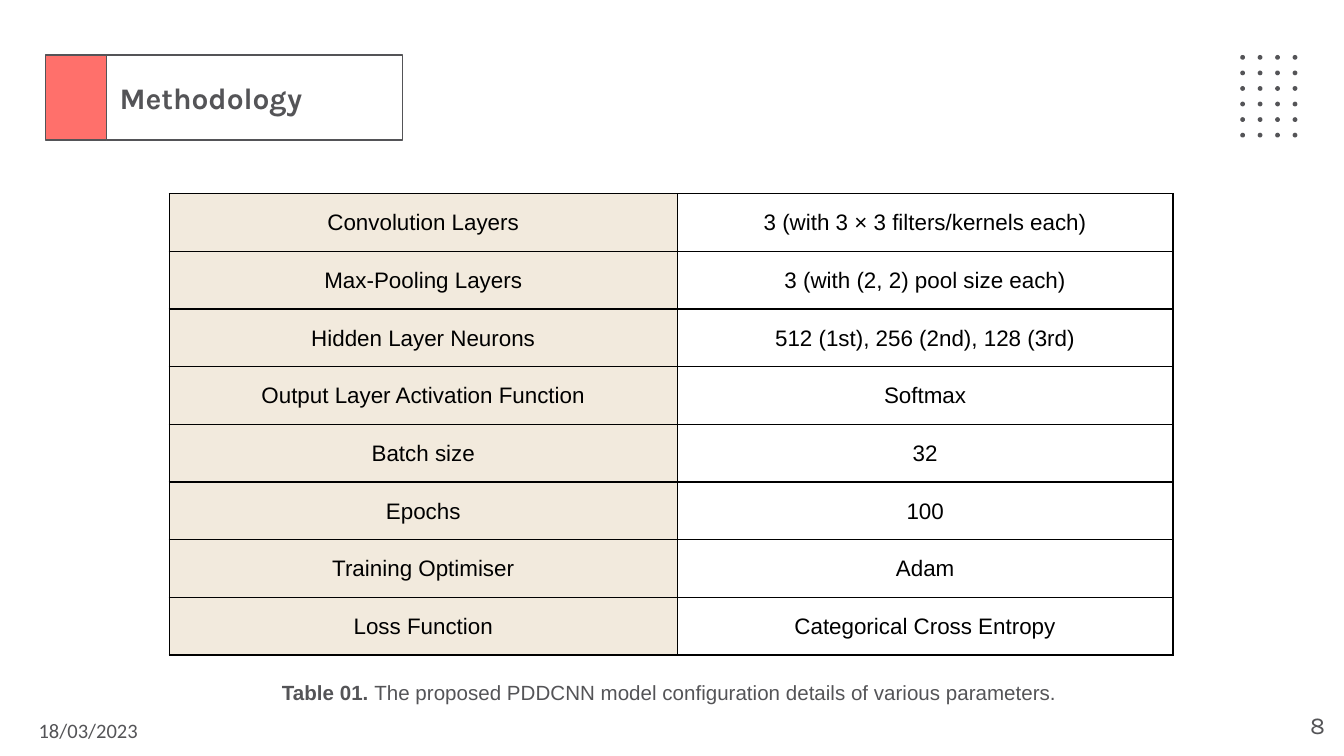
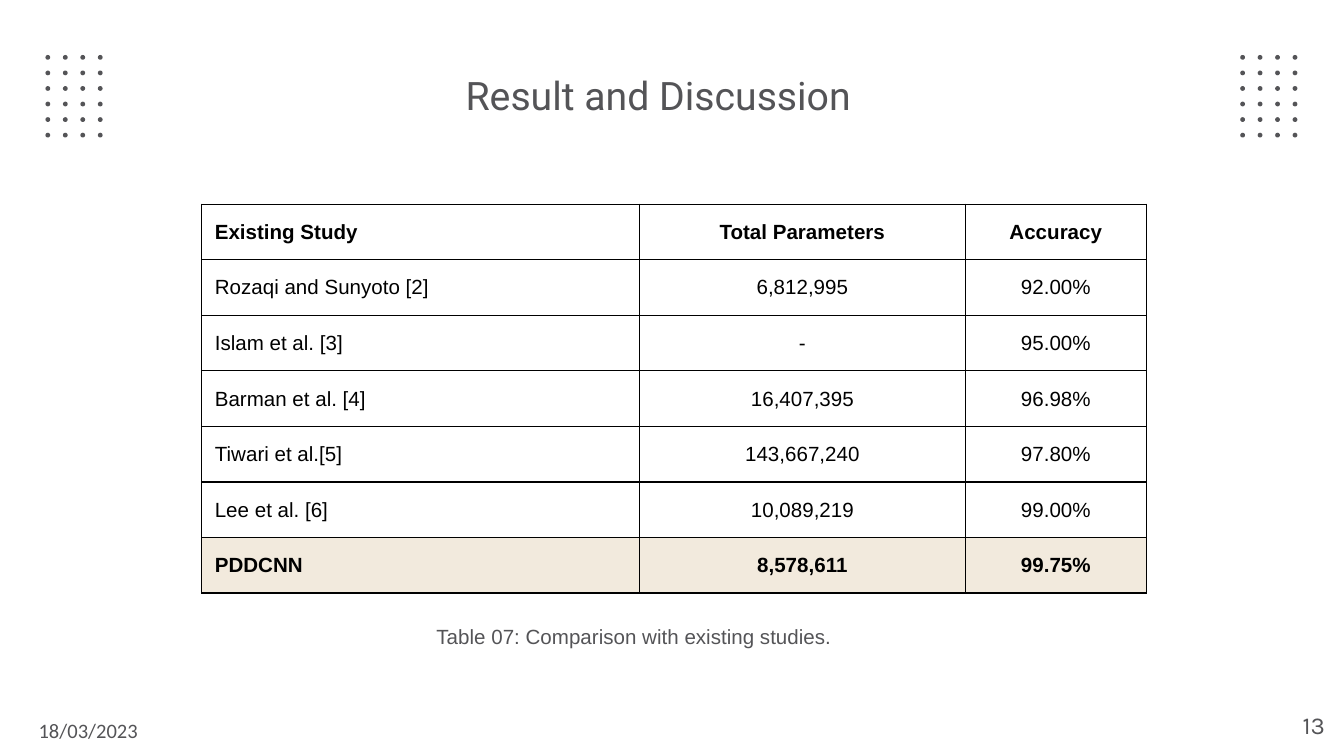
from dataclasses import dataclass
from typing import Optional

from lxml.etree import SubElement
from pptx import Presentation
from pptx.dml.color import RGBColor
from pptx.enum.shapes import MSO_SHAPE
from pptx.enum.text import MSO_ANCHOR, MSO_AUTO_SIZE, PP_ALIGN
from pptx.oxml.ns import qn
from pptx.shapes.autoshape import Shape
from pptx.slide import Slide
from pptx.table import _Cell
from pptx.text.text import TextFrame, _Paragraph
from pptx.util import Cm, Pt


@dataclass(frozen=True)
class Theme:
    ink: RGBColor = RGBColor(0x54, 0x54, 0x57)
    accent: RGBColor = RGBColor(0xFF, 0x70, 0x6B)
    highlight: RGBColor = RGBColor(0xF2, 0xEA, 0xDD)
    black: RGBColor = RGBColor(0, 0, 0)
    border_width: Pt = Pt(0.75)
    inset: Cm = Cm(0.25)
    date_size: int = 11
    number_size: int = 13
    caption_size: int = 11
    tag_size: int = 16
    title_size: int = 21


THEME = Theme()


@dataclass(frozen=True)
class Box:
    left: float
    top: float
    width: float
    height: float

    def lengths(self) -> tuple[Cm, Cm, Cm, Cm]:
        return Cm(self.left), Cm(self.top), Cm(self.width), Cm(self.height)


@dataclass(frozen=True)
class TextStyle:
    name: str
    size: int
    color: RGBColor = THEME.ink
    bold: Optional[bool] = None
    align: PP_ALIGN = PP_ALIGN.LEFT


@dataclass(frozen=True)
class DotGrid:
    left: float
    top: float = 1.04
    columns: int = 4
    rows: int = 6
    width: float = 0.99
    height: float = 1.47
    dot: float = 0.09


@dataclass(frozen=True)
class TableSpec:
    left: float
    top: float
    column_widths: tuple[float, ...]
    row_height: float
    text_size: int
    rows: tuple[tuple[str, ...], ...]
    left_columns: tuple[int, ...] = ()
    bold_rows: tuple[int, ...] = ()
    highlight_rows: tuple[int, ...] = ()
    highlight_columns: tuple[int, ...] = ()


LEFT_DOTS = DotGrid(left=0.86)
RIGHT_DOTS = DotGrid(left=23.44)

CONFIGURATION = TableSpec(
    left=3.2,
    top=3.66,
    column_widths=(9.6, 9.37),
    row_height=1.09,
    text_size=12,
    highlight_columns=(0,),
    rows=(
        ("Convolution Layers", "3 (with 3 × 3 filters/kernels each)"),
        ("Max-Pooling Layers", "3 (with (2, 2) pool size each)"),
        ("Hidden Layer Neurons", "512 (1st), 256 (2nd), 128 (3rd)"),
        ("Output Layer Activation Function", "Softmax"),
        ("Batch size", "32"),
        ("Epochs", "100"),
        ("Training Optimiser", "Adam"),
        ("Loss Function", "Categorical Cross Entropy"),
    ),
)

COMPARISON = TableSpec(
    left=3.81,
    top=3.86,
    column_widths=(8.28, 6.15, 3.43),
    row_height=1.05,
    text_size=11,
    left_columns=(0,),
    bold_rows=(0, 6),
    highlight_rows=(6,),
    rows=(
        ("Existing Study", "Total Parameters", "Accuracy"),
        ("Rozaqi and Sunyoto [2]", "6,812,995", "92.00%"),
        ("Islam et al. [3]", "-", "95.00%"),
        ("Barman et al. [4]", "16,407,395", "96.98%"),
        ("Tiwari et al.[5]", "143,667,240", "97.80%"),
        ("Lee et al. [6]", "10,089,219", "99.00%"),
        ("PDDCNN", "8,578,611", "99.75%"),
    ),
)


def style_paragraph(paragraph: _Paragraph, style: TextStyle) -> None:
    paragraph.alignment = style.align
    paragraph.font.name = style.name
    paragraph.font.size = Pt(style.size)
    paragraph.font.color.rgb = style.color
    paragraph.font.bold = style.bold


def set_insets(target: TextFrame | _Cell) -> None:
    target.margin_left = target.margin_right = THEME.inset
    target.margin_top = target.margin_bottom = THEME.inset


def add_text(slide: Slide, box: Box, text: str, style: TextStyle, grow: bool = False) -> TextFrame:
    frame = slide.shapes.add_textbox(*box.lengths()).text_frame
    frame.word_wrap = True
    frame.auto_size = MSO_AUTO_SIZE.SHAPE_TO_FIT_TEXT if grow else MSO_AUTO_SIZE.NONE
    set_insets(frame)
    frame.text = text
    style_paragraph(frame.paragraphs[0], style)
    return frame


def add_caption(slide: Slide, box: Box, text: str, label: str = "") -> None:
    frame = add_text(slide, box, label, TextStyle("Arial", THEME.caption_size), grow=True)
    paragraph = frame.paragraphs[0]
    for label_run in paragraph.runs:
        label_run.font.bold = True
    paragraph.add_run().text = text


def add_dots(slide: Slide, grid: DotGrid) -> None:
    group = slide.shapes.add_group_shape()
    for row in range(grid.rows):
        for column in range(grid.columns):
            left = grid.left + column * grid.width / (grid.columns - 1)
            top = grid.top + row * grid.height / (grid.rows - 1)
            box = Box(left, top, grid.dot, grid.dot)
            dot = group.shapes.add_shape(MSO_SHAPE.OVAL, *box.lengths())
            dot.shadow.inherit = False
            dot.fill.solid()
            dot.fill.fore_color.rgb = THEME.ink
            dot.line.fill.background()


def add_rectangle(slide: Slide, box: Box, color: Optional[RGBColor] = None) -> Shape:
    shape = slide.shapes.add_shape(MSO_SHAPE.RECTANGLE, *box.lengths())
    shape.shadow.inherit = False
    shape.line.color.rgb = THEME.ink
    shape.line.width = THEME.border_width
    if color is None:
        shape.fill.background()
    else:
        shape.fill.solid()
        shape.fill.fore_color.rgb = color
    return shape


def add_title_tag(slide: Slide, text: str) -> None:
    add_rectangle(slide, Box(0.86, 1.04, 1.15, 1.61), THEME.accent)
    frame = add_rectangle(slide, Box(2.01, 1.04, 5.6, 1.61)).text_frame
    frame.word_wrap = True
    frame.vertical_anchor = MSO_ANCHOR.MIDDLE
    set_insets(frame)
    frame.text = text
    paragraph = frame.paragraphs[0]
    paragraph.space_after = Pt(16)
    style_paragraph(paragraph, TextStyle("Karla", THEME.tag_size, bold=True))


def add_centred_title(slide: Slide, text: str) -> None:
    style = TextStyle("Roboto", THEME.title_size, align=PP_ALIGN.CENTER)
    frame = add_text(slide, Box(1.48, 1.02, 21.92, 1.61), text, style)
    frame.margin_top = Cm(0.18)
    frame.vertical_anchor = MSO_ANCHOR.MIDDLE


def add_cell_borders(cell: _Cell) -> None:
    properties = cell._tc.get_or_add_tcPr()
    for side in ("lnL", "lnR", "lnT", "lnB"):
        line = SubElement(properties, qn(f"a:{side}"), w=str(int(THEME.border_width)))
        fill = SubElement(line, qn("a:solidFill"))
        SubElement(fill, qn("a:srgbClr"), val=str(THEME.black))


def add_table(slide: Slide, spec: TableSpec) -> None:
    row_count, column_count = len(spec.rows), len(spec.column_widths)
    box = Box(spec.left, spec.top, sum(spec.column_widths), spec.row_height * row_count)
    table = slide.shapes.add_table(row_count, column_count, *box.lengths()).table
    table.first_row = False
    table.horz_banding = False
    for column, width in zip(table.columns, spec.column_widths):
        column.width = Cm(width)
    for row_index, values in enumerate(spec.rows):
        table.rows[row_index].height = Cm(spec.row_height)
        for column_index, value in enumerate(values):
            cell = table.cell(row_index, column_index)
            set_insets(cell)
            add_cell_borders(cell)
            if row_index in spec.highlight_rows or column_index in spec.highlight_columns:
                cell.fill.solid()
                cell.fill.fore_color.rgb = THEME.highlight
            else:
                cell.fill.background()
            cell.text = value
            paragraph = cell.text_frame.paragraphs[0]
            paragraph.line_spacing = 1.15
            align = PP_ALIGN.LEFT if column_index in spec.left_columns else PP_ALIGN.CENTER
            bold = row_index in spec.bold_rows
            style_paragraph(paragraph, TextStyle("Arial", spec.text_size, THEME.black, bold, align))


def add_footer(slide: Slide, number: int) -> None:
    date_style = TextStyle("Calibri", THEME.date_size)
    number_style = TextStyle("Karla", THEME.number_size, align=PP_ALIGN.RIGHT)
    add_text(slide, Box(0.48, 13.34, 4.98, 0.99), "18/03/2023", date_style, grow=True)
    add_text(slide, Box(23.77, 13.18, 1.52, 1.09), str(number), number_style)


def build_methodology(slide: Slide) -> None:
    add_dots(slide, RIGHT_DOTS)
    add_footer(slide, 8)
    add_title_tag(slide, "Methodology")
    add_caption(
        slide,
        Box(5.08, 12.62, 16.81, 0.99),
        "The proposed PDDCNN model configuration details of various parameters.",
        label="Table 01. ",
    )
    add_table(slide, CONFIGURATION)


def build_results(slide: Slide) -> None:
    add_dots(slide, LEFT_DOTS)
    add_dots(slide, RIGHT_DOTS)
    add_centred_title(slide, "Result and Discussion")
    add_footer(slide, 13)
    add_table(slide, COMPARISON)
    add_caption(slide, Box(8, 11.56, 8.74, 0.99), "Table 07: Comparison with existing studies.")


def main() -> None:
    presentation = Presentation()
    presentation.slide_width = Cm(25.4)
    presentation.slide_height = Cm(14.29)
    blank_layout = presentation.slide_layouts[6]
    for build in (build_methodology, build_results):
        build(presentation.slides.add_slide(blank_layout))
    presentation.save("out.pptx")


if __name__ == "__main__":
    main()
